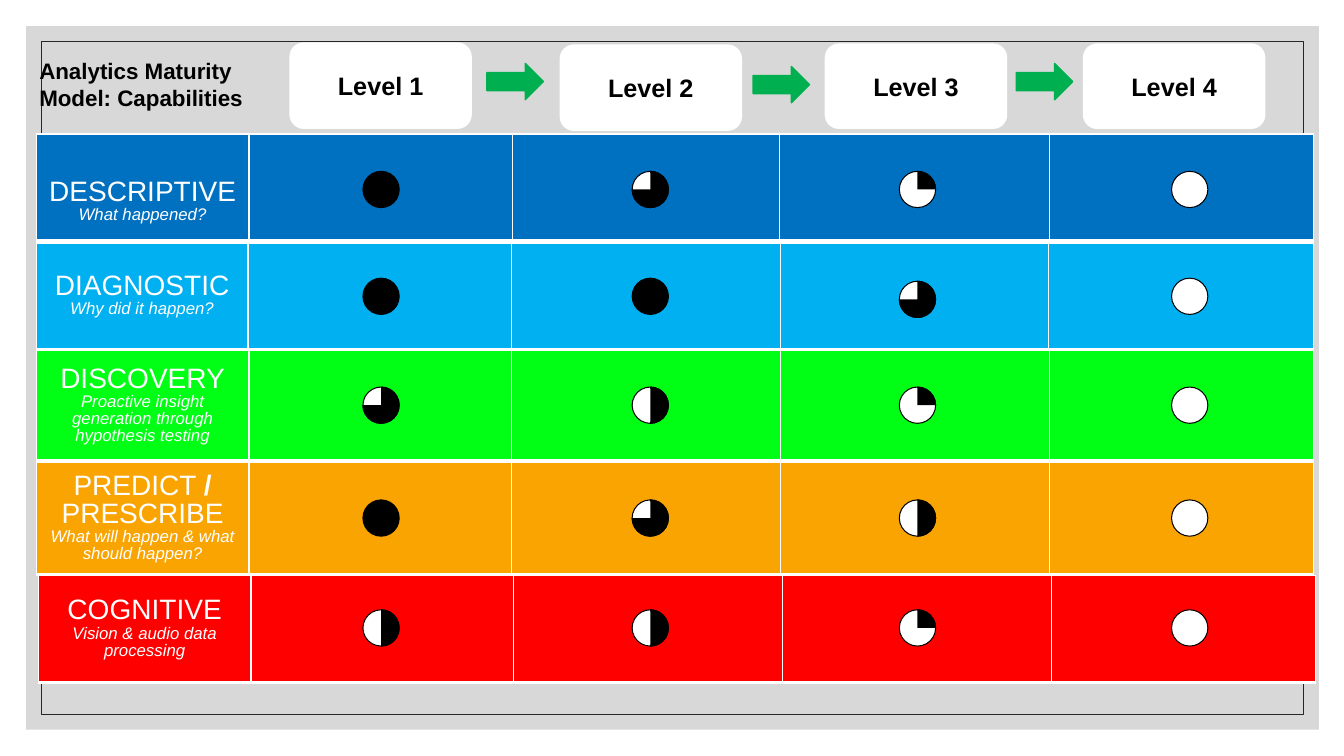
from dataclasses import dataclass
from typing import NamedTuple

from lxml import etree
from pptx import Presentation
from pptx.dml.color import RGBColor
from pptx.enum.shapes import MSO_SHAPE
from pptx.enum.text import MSO_ANCHOR, PP_ALIGN
from pptx.oxml.ns import qn
from pptx.util import Emu, Pt

RECTANGLE = MSO_SHAPE.RECTANGLE
ROUNDED = MSO_SHAPE.ROUNDED_RECTANGLE
ARROW = MSO_SHAPE.RIGHT_ARROW
OVAL = MSO_SHAPE.OVAL
ARC = MSO_SHAPE.ARC
MIDDLE = MSO_ANCHOR.MIDDLE
CENTER = PP_ALIGN.CENTER

EMU_PER_PX = 9144  # 100 px to the inch


@dataclass(frozen=True)
class Theme:
    font: str = "Arial"
    black: str = "000000"
    white: str = "FFFFFF"
    panel: str = "BFBFBF"
    panel_alpha: int = 60
    frame: str = "262626"
    arrow: str = "00B050"
    title_size: int = 16
    level_size: int = 18
    name_size: int = 20
    question_size: int = 12


THEME = Theme()


class Box(NamedTuple):
    left: int
    top: int
    width: int
    height: int


class TextPart(NamedTuple):
    text: str
    size: int
    color: str
    bold: bool = False
    italic: bool = False


class Symbol(NamedTuple):
    """A circle with 0 to 4 black quarters, lowered by drop."""
    quarters: int
    drop: int = 0


@dataclass(frozen=True)
class Capability:
    name: tuple[str, ...]  # every second piece is bold
    question: str
    color: str
    box: Box
    symbol_top: int
    symbols: tuple[Symbol, ...]
    columns: tuple[int, ...] = (211, 260, 267, 267, 262)
    top_inset: int = 7


EMPTY, QUARTER, HALF, MOST, FULL = (Symbol(quarters) for quarters in range(5))

CAPABILITIES = (
    Capability(("DESCRIPTIVE",), "What happened?", "0070C0", Box(36, 133, 1268, 106),
               170, (FULL, MOST, QUARTER, EMPTY), (211, 261, 265, 268, 262), top_inset=36),
    Capability(("DIAGNOSTIC",), "Why did it happen?", "00B0F0", Box(36, 241, 1268, 106),
               276, (FULL, FULL, Symbol(3, drop=3), EMPTY), (210, 261, 267, 266, 263)),
    Capability(("DISCOVERY",), "Proactive insight generation through hypothesis testing",
               "00FF15", Box(36, 348, 1268, 109), 384, (MOST, HALF, QUARTER, EMPTY)),
    Capability(("PREDICT ", "/", " PRESCRIBE"), "What will happen & what should happen?",
               "F9A400", Box(36, 459, 1268, 111), 496, (FULL, MOST, HALF, EMPTY)),
    Capability(("COGNITIVE",), "Vision & audio data processing", "FF0000",
               Box(38, 571, 1268, 106), 605, (HALF, HALF, QUARTER, EMPTY)),
)
LEVEL_BOXES = (Box(287, 42, 181, 86), Box(555, 44, 181, 86),
               Box(818, 43, 181, 85), Box(1074, 43, 181, 85))
ARROW_BOXES = (Box(483, 63, 56, 36), Box(747, 66, 56, 36), Box(1008, 63, 56, 36))
SYMBOL_LEFTS = (360, 627, 892, 1162)
SYMBOL_SIZE = 36
ARC_START = 162  # twelve o'clock; one quarter turn is 54
ARC_ENDS = {1: 0, 2: 54, 3: 108}
BORDER_WIDTHS = {"a:lnL": 1, "a:lnR": 1, "a:lnT": 1, "a:lnB": 3}


def px(length: int) -> Emu:
    return Emu(length * EMU_PER_PX)


def rgb(color: str) -> RGBColor:
    return RGBColor.from_string(color)


def add_shape(slide, kind, box: Box, fill: str | None = None,
              line: str | None = None, line_width: float = 1):
    shape = slide.shapes.add_shape(kind, *map(px, box))
    shape.shadow.inherit = False
    if fill:
        shape.fill.solid()
        shape.fill.fore_color.rgb = rgb(fill)
    else:
        shape.fill.background()
    if line:
        shape.line.color.rgb = rgb(line)
        shape.line.width = Pt(line_width)
    else:
        shape.line.fill.background()
    return shape


def add_run(paragraph, part: TextPart) -> None:
    run = paragraph.add_run()
    run.text = part.text
    font = run.font
    font.name = THEME.font
    font.size = Pt(part.size)
    font.bold = part.bold
    font.italic = part.italic
    font.color.rgb = rgb(part.color)


def set_insets(holder, left: int, top: int, right: int, bottom: int) -> None:
    holder.margin_left, holder.margin_top = px(left), px(top)
    holder.margin_right, holder.margin_bottom = px(right), px(bottom)


def set_borders(cell) -> None:
    properties = cell._tc.get_or_add_tcPr()
    for position, (tag, width) in enumerate(BORDER_WIDTHS.items()):
        border = etree.Element(qn(tag), w=str(Pt(width)))
        fill = etree.SubElement(border, qn("a:solidFill"))
        etree.SubElement(fill, qn("a:srgbClr"), val=THEME.white)
        properties.insert(position, border)


def add_background(slide) -> None:
    panel = add_shape(slide, RECTANGLE, Box(26, 26, 1282, 698), THEME.panel)
    color = panel.fill._xPr.find(".//" + qn("a:srgbClr"))
    etree.SubElement(color, qn("a:alpha"), val=str(THEME.panel_alpha * 1000))
    add_shape(slide, RECTANGLE, Box(41, 41, 1252, 668), line=THEME.frame, line_width=0.5)


def add_title(slide) -> None:
    frame = slide.shapes.add_textbox(*map(px, Box(26, 50, 243, 67))).text_frame
    frame.word_wrap = True
    set_insets(frame, 13, 7, 13, 7)
    add_run(frame.paragraphs[0], TextPart("Analytics Maturity Model: Capabilities",
                                          THEME.title_size, THEME.black, bold=True))


def add_level(slide, number: int, box: Box) -> None:
    frame = add_shape(slide, ROUNDED, box, THEME.white).text_frame
    frame.vertical_anchor = MIDDLE
    set_insets(frame, 13, 7, 13, 7)
    paragraph = frame.paragraphs[0]
    paragraph.alignment = CENTER
    add_run(paragraph, TextPart(f"Level {number}", THEME.level_size, THEME.black, bold=True))


def add_capability_row(slide, capability: Capability) -> None:
    columns = capability.columns
    table = slide.shapes.add_table(1, len(columns), *map(px, capability.box)).table
    table.first_row = table.horz_banding = False
    table.rows[0].height = px(capability.box.height)
    for index, width in enumerate(columns):
        table.columns[index].width = px(width)
        cell = table.cell(0, index)
        cell.fill.solid()
        cell.fill.fore_color.rgb = rgb(capability.color)
        set_borders(cell)

    label = table.cell(0, 0)
    label.vertical_anchor = MIDDLE
    set_insets(label, 10, capability.top_inset, 10, 8)
    paragraph = label.text_frame.paragraphs[0]
    paragraph.alignment = CENTER
    paragraph.line_spacing = 0.9
    for index, piece in enumerate(capability.name):
        add_run(paragraph, TextPart(piece, THEME.name_size, THEME.white, bold=index % 2 == 1))
    paragraph.add_line_break()
    add_run(paragraph, TextPart(capability.question, THEME.question_size,
                                THEME.white, italic=True))


def add_symbol(slide, symbol: Symbol, left: int, top: int) -> None:
    box = Box(left, top + symbol.drop, SYMBOL_SIZE, SYMBOL_SIZE)
    fill = THEME.black if symbol == FULL else THEME.white
    add_shape(slide, OVAL, box, fill, THEME.black, 0.75)
    if symbol.quarters in ARC_ENDS:
        arc = add_shape(slide, ARC, box, THEME.black, THEME.black, 0.75)
        arc.adjustments[0] = ARC_START
        arc.adjustments[1] = ARC_ENDS[symbol.quarters]


def main() -> None:
    presentation = Presentation()
    presentation.slide_width, presentation.slide_height = px(1333), px(750)
    slide = presentation.slides.add_slide(presentation.slide_layouts[6])
    add_background(slide)
    add_title(slide)
    for number, box in enumerate(LEVEL_BOXES, start=1):
        add_level(slide, number, box)
    for box in ARROW_BOXES:
        add_shape(slide, ARROW, box, THEME.arrow, THEME.arrow)
    for capability in CAPABILITIES:
        add_capability_row(slide, capability)
        for symbol, left in zip(capability.symbols, SYMBOL_LEFTS):
            add_symbol(slide, symbol, left, capability.symbol_top)
    presentation.save("out.pptx")


if __name__ == "__main__":
    main()
